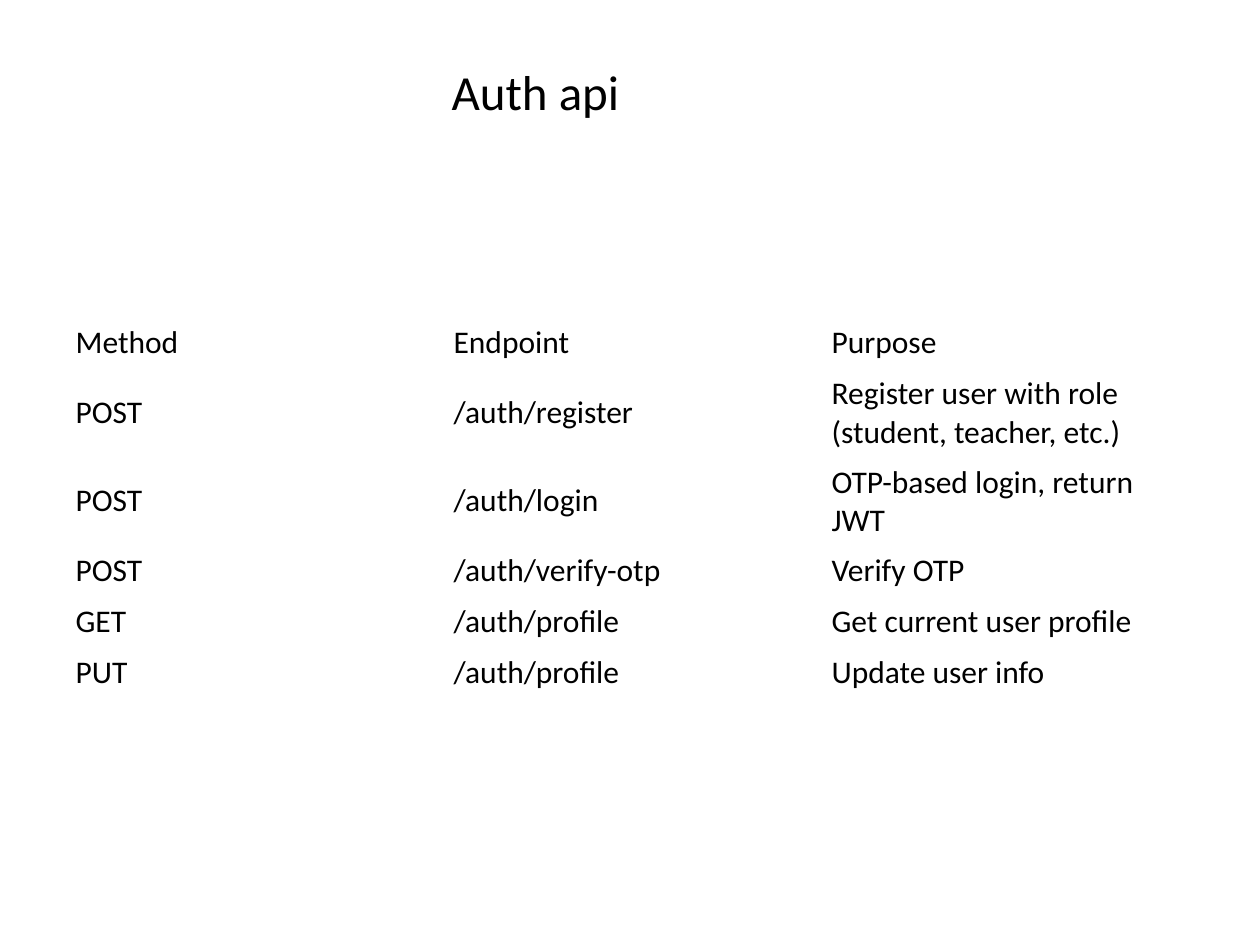
from pptx import Presentation
from pptx.dml.color import RGBColor
from pptx.enum.text import MSO_ANCHOR, PP_ALIGN
from pptx.util import Cm, Pt

BLACK = RGBColor(0, 0, 0)
FONT = "Calibri"


def style_text(tf, size):
    for p in tf.paragraphs:
        for r in p.runs:
            r.font.name = FONT
            r.font.size = Pt(size)
            r.font.bold = False
            r.font.color.rgb = BLACK


prs = Presentation()
prs.slide_width, prs.slide_height = Cm(25.4), Cm(19.05)
s = prs.slides.add_slide(prs.slide_layouts[6])

# Title, raised above the middle of its box by the bottom inset
tf = s.shapes.add_textbox(Cm(0), Cm(0.33), Cm(21.59), Cm(4.09)).text_frame
tf.word_wrap = True
tf.vertical_anchor = MSO_ANCHOR.MIDDLE
tf.margin_bottom = Cm(1.22)
tf.text = "Auth api"
tf.paragraphs[0].alignment = PP_ALIGN.CENTER
style_text(tf, 28)

# Endpoint table, with an empty last row
rows = [
    ("Method", "Endpoint", "Purpose"),
    ("POST", "/auth/register", "Register user with role (student, teacher, etc.)"),
    ("POST", "/auth/login", "OTP-based login, return JWT"),
    ("POST", "/auth/verify-otp", "Verify OTP"),
    ("GET", "/auth/profile", "Get current user profile"),
    ("PUT", "/auth/profile", "Update user info"),
    ("", "", ""),
]
row_height = Cm(1.03)
table = s.shapes.add_table(len(rows), 3, Cm(1.27), Cm(6.4), Cm(22.86),
                           row_height * len(rows)).table
table.first_row = False
table.horz_banding = False

for i, row in enumerate(rows):
    table.rows[i].height = row_height
    for j, text in enumerate(row):
        cell = table.cell(i, j)
        cell.fill.background()
        cell.vertical_anchor = MSO_ANCHOR.MIDDLE
        cell.text_frame.text = text
        style_text(cell.text_frame, 18)

prs.save("out.pptx")
